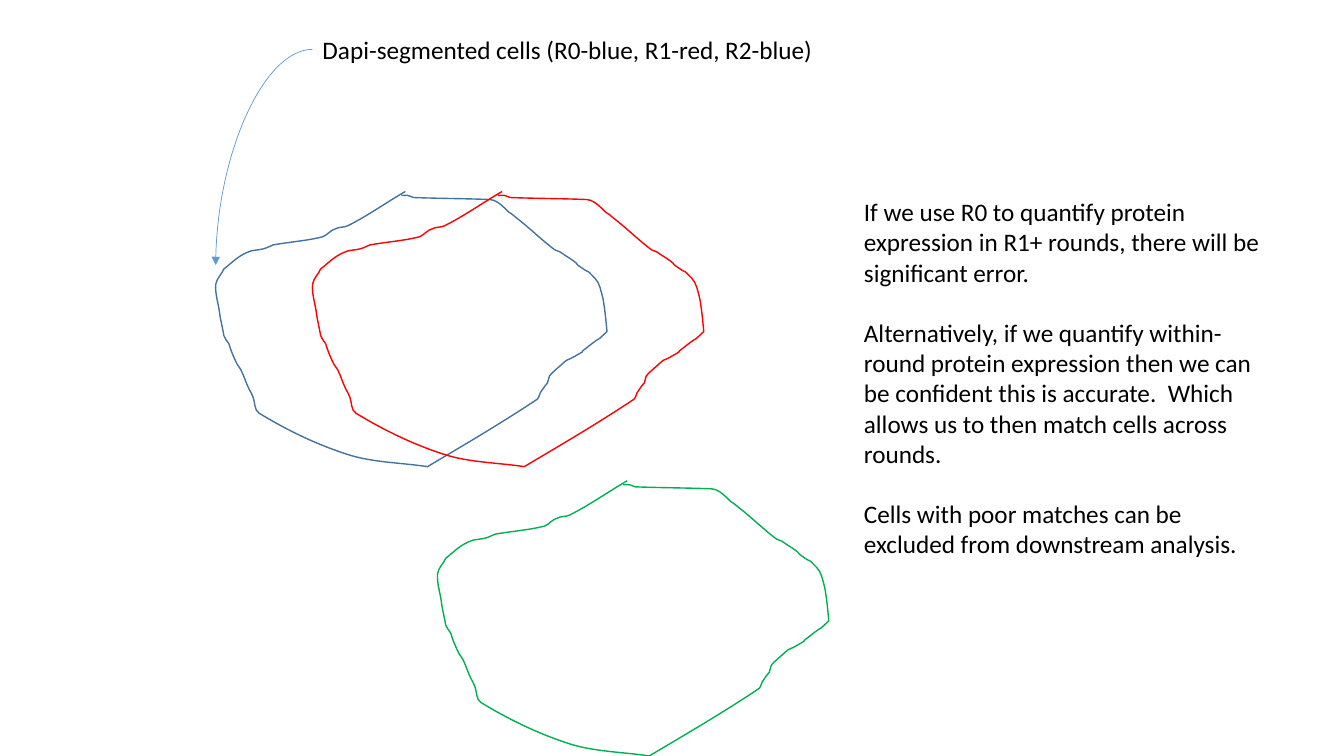
"""Build a slide comparing segmented cell outlines across imaging rounds."""
from lxml.etree import SubElement
from pptx import Presentation
from pptx.dml.color import RGBColor
from pptx.enum.shapes import MSO_CONNECTOR
from pptx.enum.text import MSO_AUTO_SIZE
from pptx.oxml.ns import qn
from pptx.util import Inches, Pt

COLORS = {"R0": "43739E", "R1": "FF0000", "R2": "00B050", "arrow": "5B9BD5", "text": "000000"}
CELL_SHIFTS = {"R0": (0, 0), "R1": (0.96, 0), "R2": (2.2, 2.87)}
OUTLINE_START = (4.02, 1.9)
OUTLINE_CURVES = [
    (3.83, 2.01, 3.65, 2.14, 3.45, 2.24), (3.41, 2.26, 3.36, 2.25, 3.33, 2.27),
    (3.28, 2.28, 3.25, 2.33, 3.2, 2.35), (3.04, 2.39, 2.88, 2.4, 2.71, 2.43),
    (2.68, 2.44, 2.65, 2.46, 2.61, 2.47), (2.57, 2.48, 2.53, 2.48, 2.49, 2.49),
    (2.37, 2.53, 2.32, 2.59, 2.22, 2.67), (2.2, 2.72, 2.15, 2.76, 2.14, 2.82),
    (2.13, 2.92, 2.17, 3.02, 2.18, 3.12), (2.19, 3.19, 2.21, 3.26, 2.22, 3.33),
    (2.23, 3.36, 2.25, 3.38, 2.27, 3.41), (2.29, 3.48, 2.32, 3.55, 2.35, 3.61),
    (2.36, 3.63, 2.38, 3.65, 2.39, 3.67), (2.42, 3.73, 2.44, 3.8, 2.47, 3.86),
    (2.48, 3.88, 2.5, 3.91, 2.51, 3.94), (2.53, 3.99, 2.52, 4.07, 2.57, 4.1),
    (2.85, 4.27, 3.14, 4.41, 3.45, 4.51), (3.7, 4.59, 3.98, 4.59, 4.24, 4.63),
    (4.61, 4.41, 4.97, 4.2, 5.33, 3.96), (5.35, 3.94, 5.35, 3.9, 5.37, 3.88),
    (5.39, 3.85, 5.41, 3.82, 5.43, 3.8), (5.44, 3.78, 5.44, 3.75, 5.45, 3.73),
    (5.46, 3.71, 5.49, 3.69, 5.51, 3.67), (5.68, 3.52, 5.57, 3.61, 5.71, 3.53),
    (5.85, 3.45, 5.71, 3.53, 5.82, 3.45), (6.02, 3.29, 5.86, 3.44, 6.02, 3.29),
    (6.01, 3.18, 6, 3.07, 5.98, 2.96), (5.96, 2.89, 5.95, 2.81, 5.9, 2.76),
    (5.77, 2.63, 5.91, 2.76, 5.73, 2.63), (5.72, 2.62, 5.71, 2.6, 5.69, 2.59),
    (5.65, 2.56, 5.61, 2.54, 5.57, 2.51), (5.55, 2.49, 5.51, 2.49, 5.49, 2.47),
    (5.36, 2.37, 5.25, 2.26, 5.12, 2.16), (5.1, 2.14, 5.07, 2.12, 5.04, 2.1),
    (5.03, 2.09, 5.01, 2.07, 5, 2.06), (4.97, 2.03, 4.91, 1.98, 4.86, 1.98),
    (4.61, 1.97, 4.35, 1.97, 4.1, 1.96), (4.02, 1.93, 4.06, 1.94, 3.98, 1.94),
]
TITLE = ["Dapi-segmented cells (R0-blue, R1-red, R2-blue)"]
NOTES = [
    "If we use R0 to quantify protein expression in R1+ rounds, there will be significant error.",
    "Alternatively, if we quantify within-round protein expression then we can be confident "
    "this is accurate.  Which allows us to then match cells across rounds.",
    "Cells with poor matches can be excluded from downstream analysis.",
]


def add_cell(slide, color, shift_x, shift_y):
    ends = [OUTLINE_START] + [curve[4:] for curve in OUTLINE_CURVES]
    points = [(Inches(x + shift_x), Inches(y + shift_y)) for x, y in ends]
    builder = slide.shapes.build_freeform(*points[0])
    builder.add_line_segments(points[1:], close=False)
    shape = builder.convert_to_shape()
    shape.shadow.inherit = False
    shape.fill.background()
    shape.line.color.rgb = RGBColor.from_string(color)
    shape.line.width = Pt(1)
    segments = list(shape._element.iter(qn("a:lnTo")))
    for segment, curve in zip(segments, OUTLINE_CURVES):
        segment.clear()
        segment.tag = qn("a:cubicBezTo")
        for x, y in zip(curve[::2], curve[1::2]):
            local_x = Inches(x + shift_x) - shape.left
            local_y = Inches(y + shift_y) - shape.top
            SubElement(segment, qn("a:pt"), x=str(local_x), y=str(local_y))


def add_text(slide, box, texts, wrap):
    shape = slide.shapes.add_textbox(*map(Inches, box))
    frame = shape.text_frame
    frame.word_wrap = wrap
    frame.auto_size = MSO_AUTO_SIZE.SHAPE_TO_FIT_TEXT
    frame.text = "\n".join(texts)
    for paragraph in frame.paragraphs:
        paragraph.font.name = "Calibri"
        paragraph.font.size = Pt(18)
        paragraph.font.color.rgb = RGBColor.from_string(COLORS["text"])
    for paragraph in frame.paragraphs[:-1]:
        paragraph.space_after = Pt(21.5)


presentation = Presentation()
presentation.slide_width = Inches(13.33)
presentation.slide_height = Inches(7.5)
slide = presentation.slides.add_slide(presentation.slide_layouts[6])

for cell, shift in CELL_SHIFTS.items():
    add_cell(slide, COLORS[cell], *shift)

add_text(slide, (3.1, 0.29, 5.12, 0.4), TITLE, False)

arrow = slide.shapes.add_connector(
    MSO_CONNECTOR.CURVE, Inches(3.1), Inches(0.49), Inches(2.14), Inches(2.63)
)
arrow.line.color.rgb = RGBColor.from_string(COLORS["arrow"])
arrow.line.width = Pt(0.5)
properties = arrow._element.spPr
properties.find(qn("a:prstGeom")).set("prst", "curvedConnector2")
SubElement(properties.find(qn("a:ln")), qn("a:tailEnd"), type="triangle")
SubElement(properties, qn("a:effectLst"))

add_text(slide, (8.47, 1.9, 4.18, 3.74), NOTES, True)

presentation.save("out.pptx")
